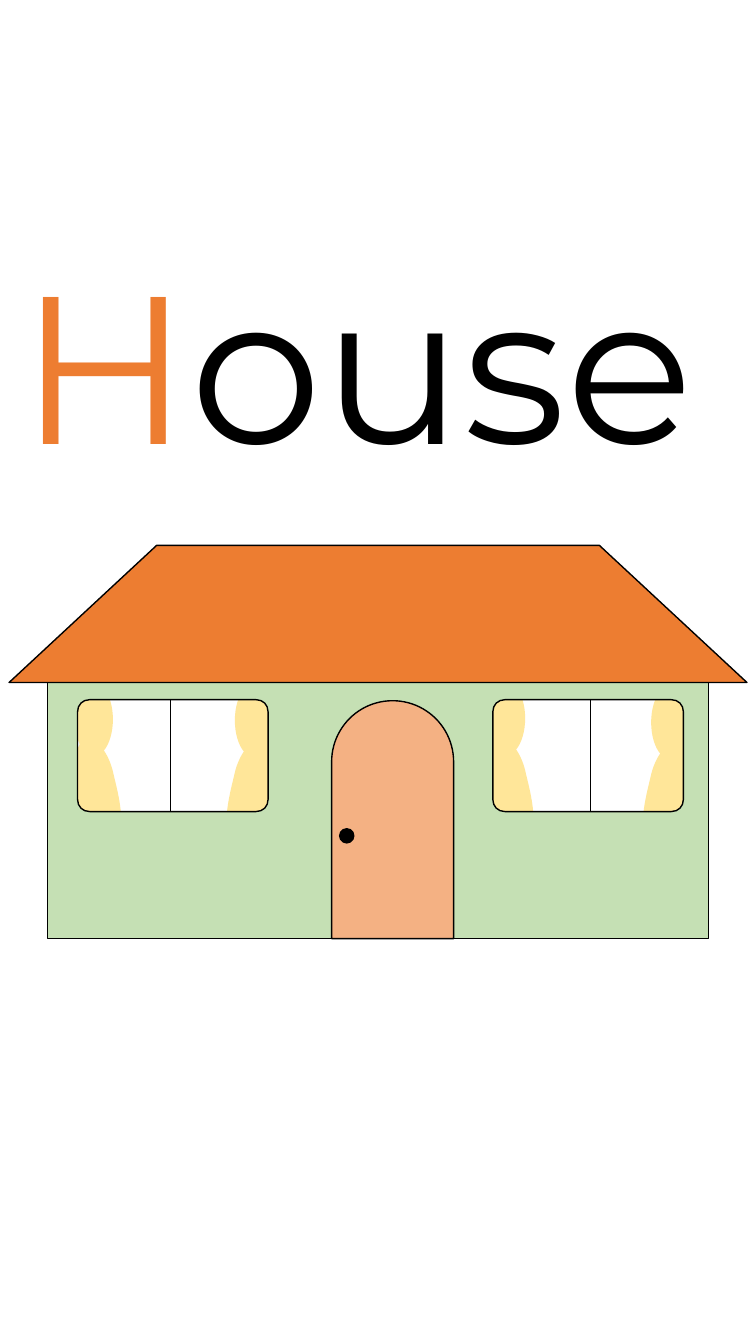
from lxml.etree import SubElement
from pptx import Presentation
from pptx.dml.color import RGBColor
from pptx.enum.shapes import MSO_CONNECTOR as CONN, MSO_SHAPE as SHAPE
from pptx.oxml.ns import qn
from pptx.util import Inches, Pt


def paint(s, fill, outlined=True):
    s.shadow.inherit = False
    s.fill.solid()
    s.fill.fore_color.rgb = RGBColor.from_string(fill)
    if outlined:
        s.line.color.rgb = RGBColor.from_string("000000")
        s.line.width = Pt(1)
    else:
        s.line.fill.background()


def draw_outline(shapes, contours, curve_starts):
    """Draw contours, turning three segments from each start into one curve."""
    fb = None
    for contour in contours:
        points = [(Inches(x), Inches(y)) for x, y in contour]
        if fb is None:
            fb = shapes.build_freeform(*points[0])
        else:
            fb.move_to(*points[0])
        fb.add_line_segments(points[1:])
    s = fb.convert_to_shape()
    segments = list(s._element.iter(qn("a:lnTo")))
    for start in curve_starts:
        curve, *others = segments[start:start + 3]
        for segment in others:
            curve.append(segment[0])
            segment.getparent().remove(segment)
        curve.tag = qn("a:cubicBezTo")
    return s


prs = Presentation()
prs.slide_width, prs.slide_height = Inches(7.5), Inches(13.33)
slide = prs.slides.add_slide(prs.slide_layouts[6])

# Word
tf = slide.shapes.add_textbox(Inches(0.1), Inches(2.28), Inches(7.4), Inches(2.63)).text_frame
tf.word_wrap = True
p = tf.paragraphs[0]
for text, value in (("H", "ED7D31"), ("ouse", "000000")):
    r = p.add_run()
    r.text = text
    for name, setting in {"name": "Montserrat", "size": Pt(150)}.items():
        setattr(r.font, name, setting)
    r.font.color.rgb = RGBColor.from_string(value)
    ln = r.font._element.makeelement(qn("a:ln"), {"w": str(Pt(0.75))})
    SubElement(SubElement(ln, qn("a:solidFill")), qn("a:srgbClr"), val="000000")
    r.font._element.insert(0, ln)

house = slide.shapes.add_group_shape().shapes

# Curtains: an ellipse above a drape, mirrored on the right of each window
CURTAIN_W, ELLIPSE_W = 0.51, 0.38
DRAPE = [(0.09, 0.40),
         (0.07, 0.21), (0.09, 0.02), (0.19, 0),
         (0.29, -0.03), (0.41, 0.11), (0.46, 0.31),
         (0.50, 0.50), (0.69, 1.09), (0.31, 1.11),
         (-0.06, 1.12), (0.11, 0.58), (0.09, 0.40)]
for left, top, mirrored in ((4.75, 7.33, False), (6.41, 7.37, True),
                            (2.28, 7.35, True), (0.66, 7.34, False)):
    inset = CURTAIN_W - ELLIPSE_W - 0.08 if mirrored else 0.08
    s = house.add_shape(SHAPE.OVAL, Inches(left + inset), Inches(top - 0.57),
                        Inches(ELLIPSE_W), Inches(0.73))
    paint(s, "FFE699", outlined=False)
    drape = [(left + (CURTAIN_W - x if mirrored else x), top + y) for x, y in DRAPE]
    paint(draw_outline(house, [drape], range(0, 12, 3)), "FFE699", outlined=False)

# Window bars
for x in (1.69, 5.86):
    s = house.add_connector(CONN.STRAIGHT, Inches(x), Inches(6.94), Inches(x), Inches(8.09))
    s.line.color.rgb = RGBColor.from_string("000000")
    s.line.width = Pt(0.5)
    SubElement(s._element.spPr, qn("a:effectLst"))

# Wall with two rounded window openings
TOP, BOTTOM, WINDOW_W, RADIUS, PULL = 6.94, 8.05, 1.89, 0.12, 0.05
contours = [[(0.47, 6.51), (7.03, 6.51), (7.03, 9.31), (0.47, 9.31), (0.47, 6.51)]]
for left in (0.77, 4.89):
    right = left + WINDOW_W
    opening = []
    for x, y, dx, dy in ((left, TOP, 1, 1), (left, BOTTOM, 1, -1),
                         (right, BOTTOM, -1, -1), (right, TOP, -1, 1)):
        corner = [(x + dx * RADIUS, y), (x + dx * PULL, y),
                  (x, y + dy * PULL), (x, y + dy * RADIUS)]
        opening += corner if dx == dy else corner[::-1]
    contours.append(opening + opening[:1])
paint(draw_outline(house, contours, range(4, 36, 4)), "C5E0B4")

# Door, knob and roof
door, knob, roof = [
    house.add_shape(kind, *[Inches(v) for v in box]) for kind, box in (
        (SHAPE.ROUND_2_SAME_RECTANGLE, (3.29, 6.95, 1.21, 2.36)),
        (SHAPE.OVAL, (3.37, 8.22, 0.14, 0.14)),
        (SHAPE.FLOWCHART_MANUAL_OPERATION, (0.09, 5.41, 7.32, 1.36)))]
door.adjustments[0] = 0.5
roof._element.spPr.find(qn("a:xfrm")).set("flipV", "1")
for s, fill in ((door, "F4B183"), (knob, "000000"), (roof, "ED7D31")):
    paint(s, fill)

prs.save("out.pptx")
